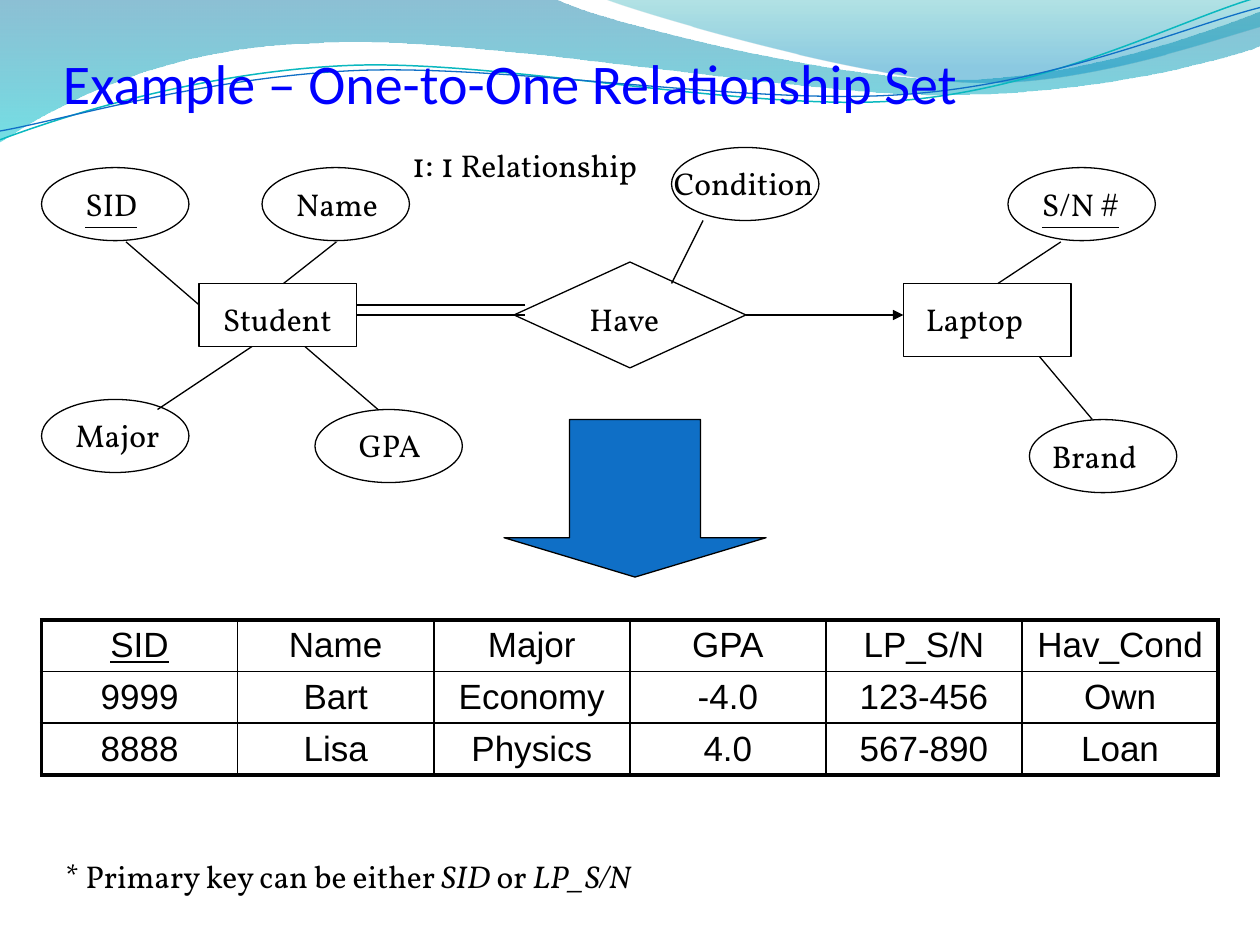
from lxml import etree
from pptx import Presentation
from pptx.dml.color import RGBColor
from pptx.enum import shapes as s, text as t
from pptx.oxml import parse_xml
from pptx.oxml.ns import nsdecls, qn
from pptx.util import Inches, Pt

BLACK = "000000"
color = RGBColor.from_string

deck = Presentation()
deck.slide_width, deck.slide_height = Inches(10), Inches(7.5)
slide = deck.slides.add_slide(deck.slide_layouts[6])
items = slide.shapes


def wave(segments, closed):
    """Draw an outline: two numbers are a corner, six are a Bezier curve."""
    corners = [(Inches(segment[-2]), Inches(segment[-1])) for segment in segments]
    builder = items.build_freeform(*corners[0])
    builder.add_line_segments(corners[1:], close=closed)
    shape = builder.convert_to_shape()
    shape.shadow.inherit = False
    lines = list(shape._element.iter(qn("a:lnTo")))
    for line, segment in zip(lines, segments[1:]):
        if len(segment) == 6:
            curve = etree.Element(qn("a:cubicBezTo"))
            for x, y in zip(segment[::2], segment[1::2]):
                point = etree.SubElement(curve, qn("a:pt"))
                point.set("x", str(Inches(x) - shape.left))
                point.set("y", str(Inches(y) - shape.top))
            line.getparent().replace(line, curve)
    return shape


def label(content, left, top, width, height=0.4, size=18, font="Vollkorn", ink=BLACK):
    box = items.add_textbox(Inches(left), Inches(top), Inches(width), Inches(height))
    box.text_frame.word_wrap = True
    paragraph = box.text_frame.paragraphs[0]
    paragraph.text = content
    paragraph.font.name, paragraph.font.size = font, Pt(size)
    paragraph.font.color.rgb = color(ink)
    return box.text_frame


# Wavy header
bands = [
    ([(0, 0), (4.4, -0.01), (4.76, 0.17, 6.64, 0.63, 7.58, 0.63),
      (8.53, 0.63, 9.58, 0.26, 10, 0.09), (10.01, 0.36),
      (9.83, 0.44, 8.7, 0.76, 7.46, 0.75), (6.22, 0.75, 3.82, 0.28, 2.57, 0.34),
      (1.29, 0.36, 0.46, 0.83, -0.01, 1.13)],
     [(0, "0074A1", 45), (1, "00C6CF", 55)]),
    ([(4.79, -0.01), (5.09, 0.11, 6.82, 0.62, 7.69, 0.65),
      (8.56, 0.69, 9.61, 0.32, 10, 0.21), (10, 0)],
     [(0, "00A1A9", 30), (0.8, "008BBF", 45)]),
]
for outline, stops in bands:
    band = wave(outline, True)
    band.line.fill.background()
    band.fill.gradient()
    band.fill.gradient_angle = 270
    for stop, (position, ink, _) in zip(band.fill.gradient_stops, stops):
        stop.position = position
        stop.color.rgb = color(ink)
    inks = list(band._element.spPr.iter(qn("a:srgbClr")))
    for element, (_, _, opacity) in zip(inks, stops):
        etree.SubElement(element, qn("a:alpha")).set("val", str(opacity * 1000))

strands = [
    ([(0, 1.11), (0.48, 0.93, 1.58, 0.57, 2.77, 0.52), (3.95, 0.47, 5.93, 0.89, 7.13, 0.8),
      (8.33, 0.71, 9.38, 0.15, 9.98, -0.02)], "0AB8BF", 0.85),
    ([(0, 1.04), (0.47, 0.96, 1.64, 0.61, 2.83, 0.56), (4.03, 0.51, 5.97, 0.84, 7.17, 0.75),
      (8.36, 0.67, 9.41, 0.21, 10, 0.06)], "0F6FC6", 0.75),
]
for outline, ink, weight in strands:
    strand = wave(outline, False)
    strand.fill.background()
    strand.line.color.rgb, strand.line.width = color(ink), Pt(weight)

title = label("Example – One-to-One Relationship Set", 0.5, 0.17, 9, 0.75, 32, "Calibri", "0000FF")
title.vertical_anchor = t.MSO_ANCHOR.BOTTOM
title.margin_left = title.margin_right = title.margin_bottom = 0

# Result table
rows = [
    ["SID", "Name", "Major", "GPA", "LP_S/N", "Hav_Cond"],
    ["9999", "Bart", "Economy", "-4.0", "123-456", "Own"],
    ["8888", "Lisa", "Physics", "4.0", "567-890", "Loan"],
]
table = items.add_table(3, 6, Inches(0.33), Inches(4.92), Inches(9.34), Inches(1.23)).table
table.first_row = table.horz_banding = False
for r, row in enumerate(rows):
    for c, value in enumerate(row):
        cell = table.cell(r, c)
        cell.text = value
        cell.margin_bottom = Inches(0.02)
        if r == 1:
            cell.fill.solid()
            cell.fill.fore_color.rgb = color("FFFFFF")
        else:
            cell.fill.background()
        paragraph = cell.text_frame.paragraphs[0]
        paragraph.alignment = t.PP_ALIGN.CENTER
        paragraph.font.name, paragraph.font.size = "Arial", Pt(20)
        paragraph.font.color.rgb = color(BLACK)
        paragraph.font.underline = value == "SID"
        outer_sides = {"L": c == 0, "R": c == 5, "T": r == 0, "B": r == 2}
        for index, (side, outer) in enumerate(outer_sides.items()):
            border = parse_xml(
                f'<a:ln{side} {nsdecls("a")} w="{Pt(2.25 if outer else 1)}"><a:solidFill>'
                f'<a:srgbClr val="{BLACK}"/></a:solidFill></a:ln{side}>')
            cell._tc.get_or_add_tcPr().insert(index, border)

# Entities, relationship, attributes and the arrow down to the table
nodes = {
    "Student": (s.MSO_SHAPE.RECTANGLE, 1.58, 2.25, 1.25, 0.5),
    "Laptop": (s.MSO_SHAPE.RECTANGLE, 7.17, 2.25, 1.33, 0.58),
    "Have": (s.MSO_SHAPE.FLOWCHART_DECISION, 4.08, 2.08, 1.84, 0.84),
    "Result": (s.MSO_SHAPE.DOWN_ARROW, 4, 3.33, 2.08, 1.25),
}
attributes = {
    "Name": (2.08, 1.33), "SID": (0.33, 1.33), "Major": (0.33, 3.17), "GPA": (2.5, 3.25),
    "S/N #": (8, 1.33), "Condition": (5.33, 1.17), "Brand": (8.17, 3.33),
}
for name, (left, top) in attributes.items():
    nodes[name] = (s.MSO_SHAPE.OVAL, left, top, 1.17, 0.58)
drawn = {}
for name, (kind, *place) in nodes.items():
    node = drawn[name] = items.add_shape(kind, *map(Inches, place))
    node.shadow.inherit = False
    node.fill.background()
    node.line.color.rgb, node.line.width = color(BLACK), Pt(0.75)
result = drawn["Result"]
result.adjustments[0], result.adjustments[1] = 0.5, 0.25
result.fill.solid()
result.fill.fore_color.rgb = color("0F6FC6")

links = [
    (1, 1.92, 1.58, 2.42), (2.67, 1.92, 2.25, 2.25), (3, 3.25, 2.42, 2.75),
    (1.25, 3.25, 2, 2.75), (8.42, 1.92, 7.92, 2.25), (5.33, 2.25, 5.58, 1.75),
    (8.25, 2.83, 8.67, 3.33), (4.17, 2.42, 2.83, 2.42),
    (2.83, 2.5, 4.17, 2.5), (5.92, 2.5, 7.17, 2.5),
]
for ends in links:
    link = items.add_connector(s.MSO_CONNECTOR.STRAIGHT, *map(Inches, ends))
    link.line.color.rgb, link.line.width = color(BLACK), Pt(0.75)
    etree.SubElement(link._element.spPr, qn("a:effectLst"))
    if ends[0] == 2.83:
        link.begin_connect(drawn["Student"], 3)
    elif ends[0] == 5.92:
        link.begin_connect(drawn["Have"], 3)
        etree.SubElement(link.line._get_or_add_ln(), qn("a:tailEnd")).set("type", "triangle")

captions = [
    ("Student", 1.67, 2.33, 1.08), ("SID", 0.58, 1.42, 0.83), ("Name", 2.25, 1.42, 0.92),
    ("Major", 0.5, 3.25, 0.92), ("GPA", 2.75, 3.33, 0.75), ("S/N #", 8.17, 1.42, 1.25),
    ("Laptop", 7.25, 2.33, 1.08), ("Have", 4.58, 2.33, 0.83),
    ("Condition", 5.25, 1.25, 1.5), ("Brand", 8.25, 3.42, 0.92),
]
for name, left, top, width in captions:
    caption = label(name, left, top, width)
    caption.paragraphs[0].font.underline = name in ("SID", "S/N #")

cardinality = label("1: 1", 3.17, 1.08, 2, 0.44).paragraphs[0]
cardinality.runs[0].font.size = Pt(20)
cardinality.add_run().text = " Relationship"

key_note = label("* Primary key can be either ", 0.42, 6.75, 9.08).paragraphs[0]
for words, italic in [("SID", True), (" or ", False), ("LP_S/N", True)]:
    run = key_note.add_run()
    run.text, run.font.italic = words, italic

deck.save("out.pptx")
